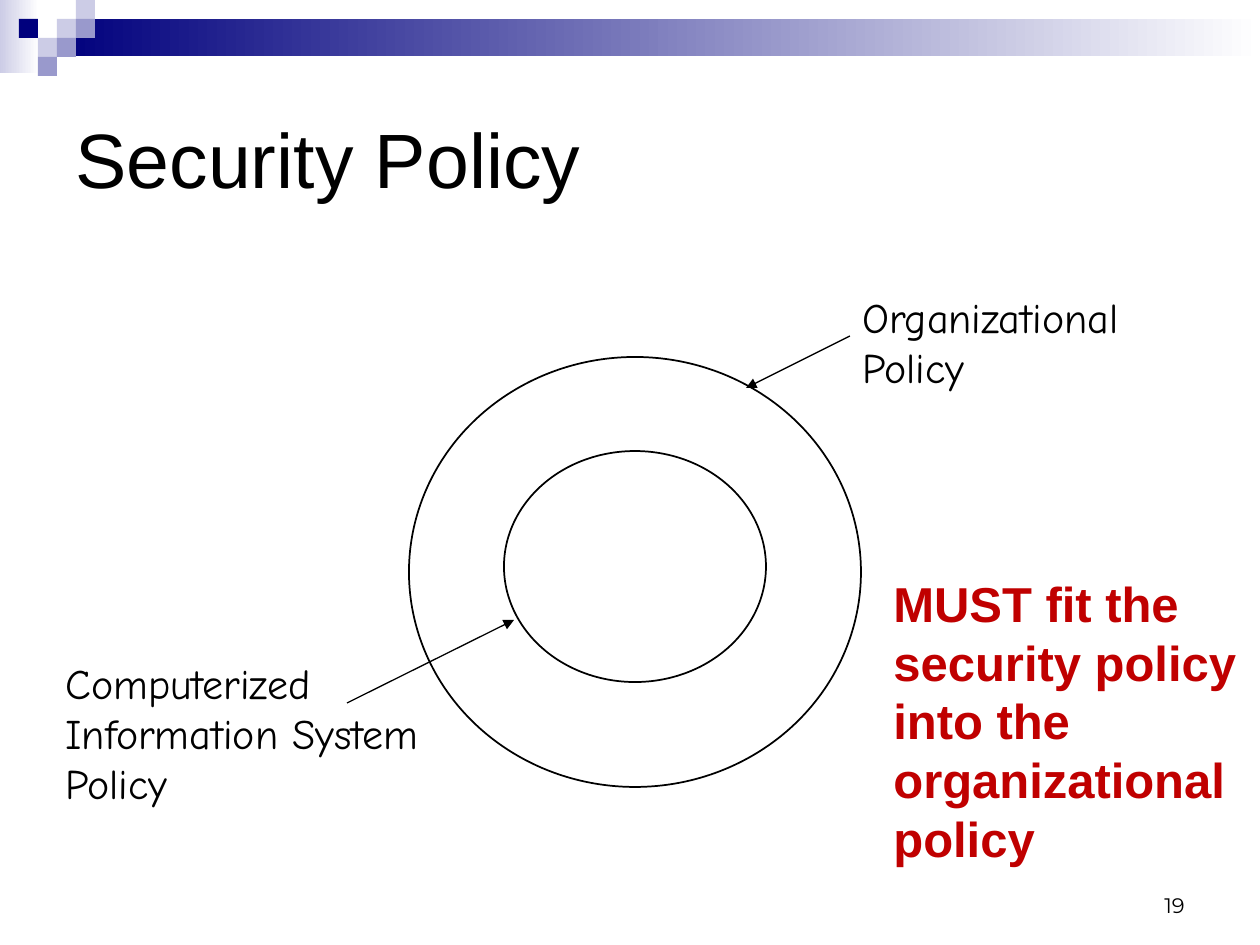
from dataclasses import dataclass

from lxml.etree import SubElement
from pptx import Presentation
from pptx.dml.color import RGBColor
from pptx.enum.shapes import MSO_CONNECTOR, MSO_SHAPE
from pptx.enum.text import MSO_ANCHOR, PP_ALIGN
from pptx.oxml.ns import qn
from pptx.util import Emu, Pt

EMU_PER_PX = 914400 / 126
TILE = 19
COLORS = {
    "ink": "000000",
    "white": "FFFFFF",
    "navy": "00007D",
    "lavender": "CCCCE6",
    "periwinkle": "9999CC",
    "red": "C00000",
}


@dataclass(frozen=True)
class Box:
    left: int
    top: int
    width: int
    height: int


@dataclass(frozen=True)
class Band:
    box: Box
    color: str


@dataclass(frozen=True)
class Tile:
    column: int
    row: int
    color: str


@dataclass(frozen=True)
class Label:
    box: Box
    lines: tuple[str, ...]


@dataclass(frozen=True)
class Arrow:
    start: tuple[int, int]
    end: tuple[int, int]


BANDS = (
    Band(Box(0, 0, 39, 73), "lavender"),
    Band(Box(57, 19, 1203, 37), "navy"),
)
TILES = (
    Tile(3, 1, "lavender"),
    Tile(4, 0, "lavender"),
    Tile(4, 1, "periwinkle"),
    Tile(2, 2, "lavender"),
    Tile(1, 1, "navy"),
    Tile(3, 2, "periwinkle"),
    Tile(2, 3, "periwinkle"),
)
POLICY_RINGS = (Box(409, 357, 452, 430), Box(504, 451, 262, 231))
POLICY_LABELS = (
    Label(Box(850, 285, 321, 113), ("Organizational", "Policy")),
    Label(Box(53, 651, 423, 164), ("Computerized", "Information System", "Policy")),
)
ARROWS = (
    Arrow((850, 336), (746, 388)),
    Arrow((347, 703), (514, 620)),
)


def px(length: int) -> Emu:
    return Emu(round(length * EMU_PER_PX))


def rgb(name: str) -> RGBColor:
    return RGBColor.from_string(COLORS[name])


def place(box: Box) -> tuple[Emu, Emu, Emu, Emu]:
    return px(box.left), px(box.top), px(box.width), px(box.height)


def write_text(holder, *lines: str, size: int, font: str = "Arial", color: str = "ink",
               bold: bool = False, align=PP_ALIGN.LEFT, anchor=MSO_ANCHOR.TOP) -> None:
    frame = holder.text_frame
    frame.word_wrap = True
    frame.vertical_anchor = anchor
    frame.text = "\n".join(lines)
    for paragraph in frame.paragraphs:
        paragraph.alignment = align
        for run in paragraph.runs:
            run.font.name = font
            run.font.size = Pt(size)
            run.font.bold = bold
            run.font.color.rgb = rgb(color)


def draw_shape(slide, kind, box: Box):
    shape = slide.shapes.add_shape(kind, *place(box))
    shape.shadow.inherit = False
    return shape


def draw_band(slide, band: Band) -> None:
    shape = draw_shape(slide, MSO_SHAPE.RECTANGLE, band.box)
    shape.line.fill.background()
    shape.fill.gradient()
    shape.fill.gradient_angle = 0
    for stop, color in zip(shape.fill.gradient_stops, (band.color, "white")):
        stop.color.rgb = rgb(color)


def draw_tile(slide, tile: Tile) -> None:
    box = Box(tile.column * TILE, tile.row * TILE, TILE, TILE)
    shape = draw_shape(slide, MSO_SHAPE.RECTANGLE, box)
    shape.line.fill.background()
    shape.fill.solid()
    shape.fill.fore_color.rgb = rgb(tile.color)


def draw_ring(slide, box: Box) -> None:
    ring = draw_shape(slide, MSO_SHAPE.OVAL, box)
    ring.fill.background()
    ring.line.color.rgb = rgb("ink")
    ring.line.width = Pt(1)


def draw_arrow(slide, arrow: Arrow) -> None:
    ends = [px(value) for value in (*arrow.start, *arrow.end)]
    connector = slide.shapes.add_connector(MSO_CONNECTOR.STRAIGHT, *ends)
    connector.line.color.rgb = rgb("ink")
    connector.line.width = Pt(0.75)
    SubElement(connector.line._get_or_add_ln(), qn("a:tailEnd"), type="triangle")
    SubElement(connector._element.spPr, qn("a:effectLst"))


def main() -> None:
    presentation = Presentation()
    presentation.slide_width = px(1260)
    presentation.slide_height = px(945)
    slide = presentation.slides.add_slide(presentation.slide_layouts[5])

    for band in BANDS:
        draw_band(slide, band)
    for tile in TILES:
        draw_tile(slide, tile)

    title = slide.shapes.title
    title.left, title.top, title.width, title.height = place(Box(63, 63, 1134, 189))
    write_text(title, "Security Policy", size=44, anchor=MSO_ANCHOR.MIDDLE)

    for ring in POLICY_RINGS:
        draw_ring(slide, ring)
    for label in POLICY_LABELS:
        caption = slide.shapes.add_textbox(*place(label.box))
        write_text(caption, *label.lines, size=24, font="Comic Neue")
    for arrow in ARROWS:
        draw_arrow(slide, arrow)

    requirement = slide.shapes.add_textbox(*place(Box(881, 567, 399, 310)))
    write_text(requirement, "MUST fit the security policy into the organizational policy",
               size=28, color="red", bold=True)

    page_number = slide.shapes.add_textbox(*place(Box(903, 861, 294, 63)))
    write_text(page_number, "19", size=12, font="Montserrat",
               align=PP_ALIGN.RIGHT, anchor=MSO_ANCHOR.BOTTOM)

    presentation.save("out.pptx")


if __name__ == "__main__":
    main()
